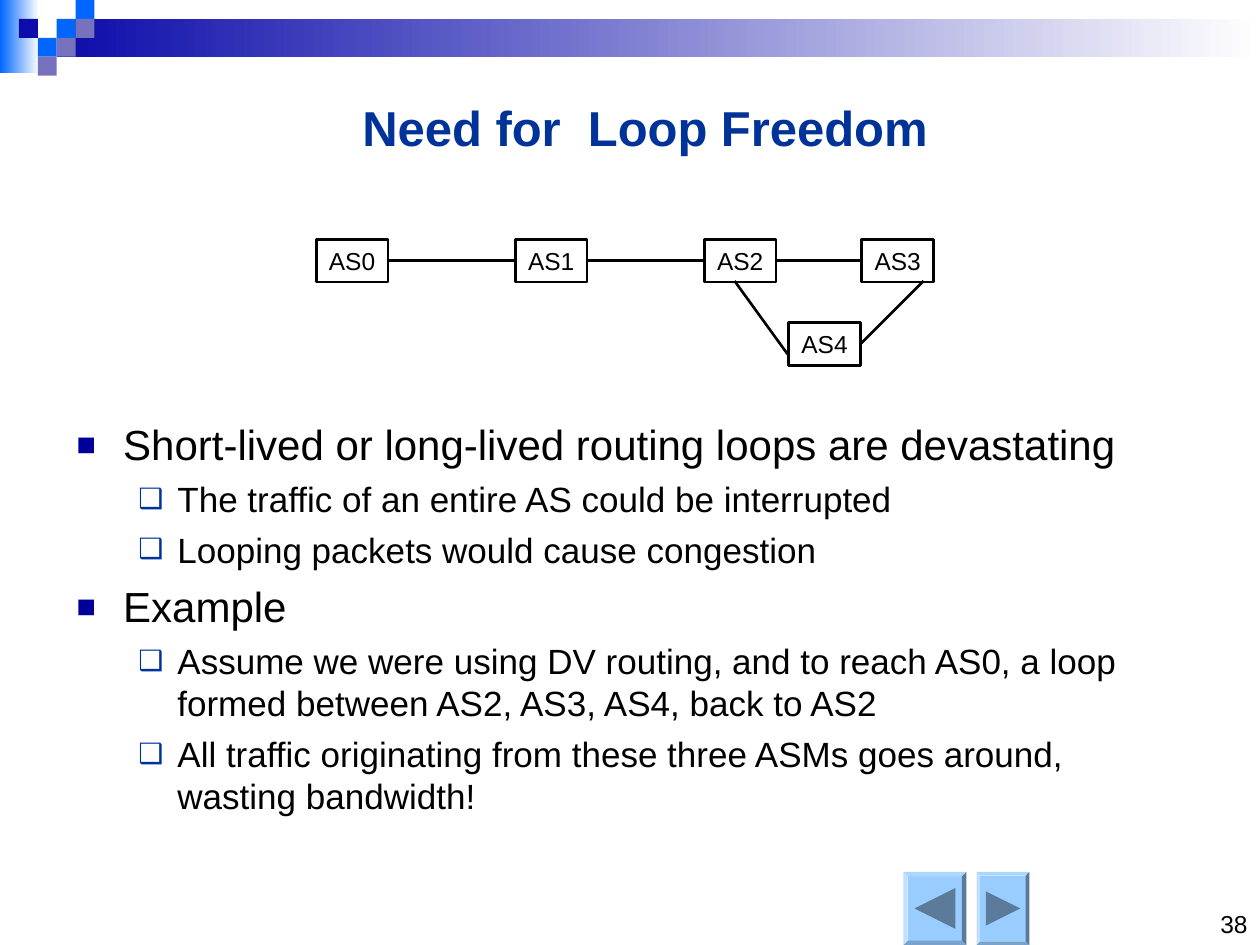
from lxml import etree
from pptx import Presentation
from pptx.dml.color import RGBColor
from pptx.enum.shapes import MSO_CONNECTOR, MSO_SHAPE
from pptx.enum.text import MSO_ANCHOR, PP_ALIGN
from pptx.oxml.ns import qn
from pptx.util import Inches, Pt

BLACK, WHITE, NAVY = "000000", "FFFFFF", "003399"
BRIGHT, DEEP, MAUVE = "0066FF", "0C0CAA", "7772BE"

# marker, marker colour, marker size %, left margin, hanging indent, text size, space before
LEVELS = [("▪", "000099", 150, 0.38, 0.38, 24, 6),
          ("❑", NAVY, 80, 0.81, 0.31, 20, 5)]
POINTS = [(0, "Short-lived or long-lived routing loops are devastating"),
          (1, "The traffic of an entire AS could be interrupted"),
          (1, "Looping packets would cause congestion"),
          (0, "Example"),
          (1, "Assume we were using DV routing, and to reach AS0, a loop "
              "formed between AS2, AS3, AS4, back to AS2"),
          (1, "All traffic originating from these three ASMs goes around, "
              "wasting bandwidth!")]


def rgb(color):
    return RGBColor.from_string(color)


def set_attrs(obj, values):
    for name, value in values.items():
        setattr(obj, name, value)


def add_run(p, text, size, color=BLACK, bold=False):
    r = p.add_run()
    r.text = text
    set_attrs(r.font, {"name": "Arial", "size": Pt(size), "bold": bold})
    r.font.color.rgb = rgb(color)


def add_box(slide, kind, x, y, w, h, fill=None):
    """Add a flat shape; fill is a colour, a pair for a gradient, or None."""
    sp = slide.shapes.add_shape(kind, Inches(x), Inches(y), Inches(w), Inches(h))
    sp.shadow.inherit = False
    sp.line.fill.background()
    if fill is None:
        sp.fill.background()
    elif isinstance(fill, tuple):
        sp.fill.gradient()
        sp.fill.gradient_angle = 0
        for stop, color in zip(sp.fill.gradient_stops, fill):
            stop.color.rgb = rgb(color)
    else:
        sp.fill.solid()
        sp.fill.fore_color.rgb = rgb(fill)
    return sp


def add_text_frame(slide, x, y, w, h, anchor, top=0.05):
    tf = slide.shapes.add_textbox(Inches(x), Inches(y), Inches(w), Inches(h)).text_frame
    set_attrs(tf, {"word_wrap": True, "vertical_anchor": anchor, "margin_top": Inches(top)})
    return tf


def add_label(slide, x, y, w, h, anchor, align, *run):
    p = add_text_frame(slide, x, y, w, h, anchor).paragraphs[0]
    p.alignment = align
    add_run(p, *run)


def add_header(slide, x, y, w):
    add_box(slide, MSO_SHAPE.RECTANGLE, x, y, 0.31, 0.58, (BRIGHT, WHITE))
    add_box(slide, MSO_SHAPE.RECTANGLE, x + 0.45, y + 0.15, w - 0.45, 0.3, (DEEP, WHITE))
    cell = 0.15
    for col, row, color in [(3, 1, BRIGHT), (4, 0, BRIGHT), (4, 1, MAUVE), (2, 2, BRIGHT),
                            (1, 1, DEEP), (3, 2, MAUVE), (2, 3, MAUVE)]:
        add_box(slide, MSO_SHAPE.RECTANGLE, x + col * cell, y + row * cell, cell, cell, color)


def add_nav_button(slide, x, y, w, h, direction):
    """Add a bevelled button with an arrow; direction is -1 for back, 1 for forward."""
    sp = add_box(slide, MSO_SHAPE.BEVEL, x, y, w, h, "99CCFF")
    sp.adjustments[0] = 0.07
    cx, cy = x + w / 2, y + h / 2
    half = w * 0.325
    base, tip = cx - direction * half, cx + direction * half
    points = [(Inches(px), Inches(py))
              for px, py in [(base, cy - half), (tip, cy), (base, cy + half)]]
    builder = slide.shapes.build_freeform(*points[0])
    builder.add_line_segments(points[1:], close=True)
    arrow = builder.convert_to_shape()
    arrow.shadow.inherit = False
    arrow.fill.solid()
    arrow.fill.fore_color.rgb = rgb("5C7A99")
    arrow.line.fill.background()


def add_node(slide, x, y, name):
    sp = add_box(slide, MSO_SHAPE.RECTANGLE, x, y, 0.57, 0.34)
    sp.line.color.rgb = rgb(BLACK)
    sp.line.width = Pt(1.5)
    tf = sp.text_frame
    tf.word_wrap = False
    tf.paragraphs[0].alignment = PP_ALIGN.CENTER
    add_run(tf.paragraphs[0], name, 14)
    return sp


def add_link(slide, x1, y1, x2, y2):
    line = slide.shapes.add_connector(MSO_CONNECTOR.STRAIGHT, Inches(x1), Inches(y1),
                                      Inches(x2), Inches(y2))
    line.line.color.rgb = rgb(BLACK)
    line.line.width = Pt(1.5)
    etree.SubElement(line._element.spPr, qn("a:effectLst"))
    return line


def add_network(slide, x, y):
    row = [add_node(slide, x + dx, y, f"AS{i}")
           for i, dx in enumerate([0, 1.58, 3.08, 4.33])]
    as4 = add_node(slide, x + 3.75, y + 0.66, "AS4")
    for left, right in zip(row, row[1:]):
        link = add_link(slide, x, y, x, y)
        link.begin_connect(left, 3)
        link.end_connect(right, 1)
    add_link(slide, x + 3.32, y + 0.33, x + 3.74, y + 0.91)
    link = add_link(slide, x + 4.82, y + 0.33, x + 4.32, y + 0.83)
    link.end_connect(as4, 3)


def add_bullet(p, marker, color, percent, left, hang):
    pPr = p._p.get_or_add_pPr()
    pPr.set("marL", str(Inches(left)))
    pPr.set("indent", str(-Inches(hang)))
    clr = etree.SubElement(pPr, qn("a:buClr"))
    etree.SubElement(clr, qn("a:srgbClr"), val=color)
    etree.SubElement(pPr, qn("a:buSzPct"), val=str(percent * 1000))
    etree.SubElement(pPr, qn("a:buFont"), typeface="Arial")
    etree.SubElement(pPr, qn("a:buChar"), char=marker)


def add_points(slide, x, y, w, h):
    tf = add_text_frame(slide, x, y, w, h, MSO_ANCHOR.TOP, top=0.49)
    for i, (level, text) in enumerate(POINTS):
        *bullet, size, before = LEVELS[level]
        p = tf.add_paragraph() if i else tf.paragraphs[0]
        set_attrs(p, {"level": level, "space_before": Pt(before)})
        add_bullet(p, *bullet)
        add_run(p, text, size)


def main():
    prs = Presentation()
    set_attrs(prs, {"slide_width": Inches(10), "slide_height": Inches(7.5)})
    slide = prs.slides.add_slide(prs.slide_layouts[6])
    add_header(slide, 0, 0, 10)
    add_nav_button(slide, 7.17, 6.92, 0.5, 0.58, -1)
    add_nav_button(slide, 7.75, 6.92, 0.42, 0.58, 1)
    add_label(slide, 8.25, 7, 1.75, 0.5, MSO_ANCHOR.BOTTOM, PP_ALIGN.RIGHT, "38", 14)
    add_label(slide, 0.58, 0.72, 9.08, 0.57, MSO_ANCHOR.MIDDLE, PP_ALIGN.CENTER,
              "Need for  Loop Freedom", 28, NAVY, True)
    add_points(slide, 0.5, 2.83, 8.67, 4.25)
    add_network(slide, 2.51, 1.9)
    prs.save("out.pptx")


if __name__ == "__main__":
    main()
